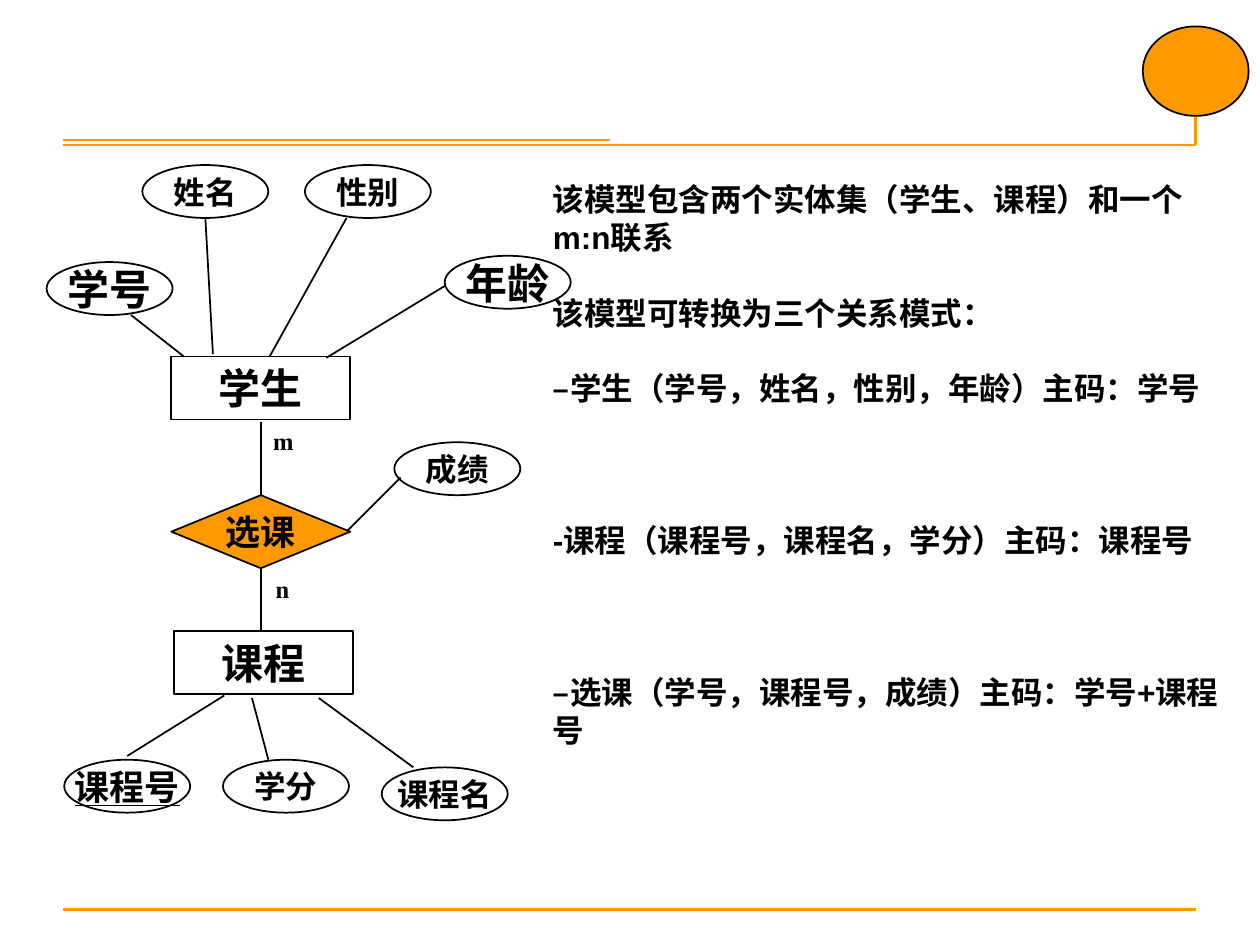
from lxml import etree
from pptx import Presentation
from pptx.dml.color import RGBColor
from pptx.enum.shapes import MSO_CONNECTOR, MSO_SHAPE
from pptx.enum.text import MSO_ANCHOR, PP_ALIGN
from pptx.oxml.ns import qn
from pptx.util import Inches, Pt

STRAIGHT = MSO_CONNECTOR.STRAIGHT
OVAL = MSO_SHAPE.OVAL
RECTANGLE = MSO_SHAPE.RECTANGLE
DECISION = MSO_SHAPE.FLOWCHART_DECISION
TOP, MIDDLE = MSO_ANCHOR.TOP, MSO_ANCHOR.MIDDLE
CENTER, LEFT = PP_ALIGN.CENTER, PP_ALIGN.LEFT

COLORS = {"orange": "FF9900", "black": "000000"}
SERIF, SANS = "Times New Roman", "Arial"

ATTRIBUTES = [
    ("学号", 0, 0.77, 24, False),
    ("姓名", 0.76, 0, 18, False),
    ("性别", 2.05, 0, 18, False),
    ("年龄", 3.16, 0.72, 24, False),
    ("成绩", 2.76, 2.2, 18, False),
    ("课程号", 0.14, 4.72, 20, True),
    ("学分", 1.4, 4.72, 18, False),
    ("课程名", 2.66, 4.78, 18, False),
]
NODES = [
    ("学生", RECTANGLE, 0.99, 1.52, 0.5, 24, None, TOP),
    ("选课", DECISION, 0.99, 2.62, 0.58, 20, "orange", MIDDLE),
    ("课程", RECTANGLE, 1.01, 3.7, 0.5, 24, None, TOP),
]
LINKS = [
    (0.67, 1.19, 1.09, 1.52),
    (1.26, 0.42, 1.32, 1.5),
    (2.38, 0.42, 1.77, 1.52),
    (3.16, 0.96, 2.22, 1.53),
    (1.7, 2.04, 1.7, 2.62),
    (1.7, 3.2, 1.7, 3.7),
    (2.81, 2.48, 2.38, 2.91),
    (1.41, 4.21, 0.64, 4.69),
    (1.63, 4.23, 1.76, 4.72),
    (2.16, 4.23, 2.91, 4.78),
]
CARDINALITIES = [("m", 1.7, 2.02), ("n", 1.72, 3.2)]
LINE_PITCH = 21.7
STATEMENTS = [
    ("该模型包含两个实体集（学生、课程）和一个m:n联系", 0),
    ("该模型可转换为三个关系模式：", 1),
    ("–学生（学号，姓名，性别，年龄）主码：学号", 1),
    ("-课程（课程号，课程名，学分）主码：课程号", 3),
    ("–选课（学号，课程号，成绩）主码：学号+课程号", 3),
]


def color(name):
    return RGBColor.from_string(COLORS[name])


def write(para, text, **values):
    span = para.add_run()
    span.text = text
    for name, value in values.items():
        setattr(span.font, name, value)
    span.font.color.rgb = color("black")


def add_line(page, start_x, start_y, end_x, end_y, ink="black", width=1):
    line = page.shapes.add_connector(
        STRAIGHT, Inches(start_x), Inches(start_y), Inches(end_x), Inches(end_y))
    line.line.color.rgb = color(ink)
    line.line.width = Pt(width)
    etree.SubElement(line.element.spPr, qn("a:effectLst"))


def add_node(page, kind, left, top, width, height, fill=None, anchor=MIDDLE):
    node = page.shapes.add_shape(
        kind, Inches(left), Inches(top), Inches(width), Inches(height))
    node.shadow.inherit = False
    if fill:
        node.fill.solid()
        node.fill.fore_color.rgb = color(fill)
    else:
        node.fill.background()
    node.line.color.rgb = color("black")
    node.line.width = Pt(1)
    node.text_frame.word_wrap = anchor == TOP
    node.text_frame.vertical_anchor = anchor
    para = node.text_frame.paragraphs[0]
    para.alignment = CENTER
    return para


def add_text(page, left, top, width, height):
    box = page.shapes.add_textbox(
        Inches(left), Inches(top), Inches(width), Inches(height))
    box.text_frame.word_wrap = True
    return box.text_frame


def add_frame(page, left, top, width, height):
    right, bottom = left + width, top + height
    rule = top + 0.94
    for ends in [
        (left, bottom, right, bottom),
        (left, rule, right, rule),
        (right, top + 0.07, right, rule),
        (left, rule - 0.04, left + 4.34, rule - 0.04),
    ]:
        add_line(page, *ends, ink="orange", width=1.5)
    add_node(page, OVAL, right - 0.42, top, 0.84, 0.71, "orange")


def add_diagram(page, left, top):
    for start_x, start_y, end_x, end_y in LINKS:
        add_line(page, left + start_x, top + start_y, left + end_x, top + end_y)
    for text, x, y, size, underline in ATTRIBUTES:
        para = add_node(page, OVAL, left + x, top + y, 1, 0.42)
        write(para, text, size=Pt(size), name=SERIF, bold=True, underline=underline)
    for text, kind, x, y, height, size, fill, anchor in NODES:
        para = add_node(page, kind, left + x, top + y, 1.42, height, fill, anchor)
        write(para, text, size=Pt(size), name=SERIF, bold=True)
    for text, x, y in CARDINALITIES:
        frame = add_text(page, left + x, top + y, 0.33, 0.34)
        write(frame.paragraphs[0], text, size=Pt(14), name=SERIF, bold=True)


def add_statements(page, left, top, width, height):
    frame = add_text(page, left, top, width, height)
    for index, (text, gap) in enumerate(STATEMENTS):
        para = frame.add_paragraph() if index else frame.paragraphs[0]
        para.alignment = LEFT
        para.space_before = Pt(gap * LINE_PITCH)
        write(para, text, size=Pt(18), name=SANS, bold=True)


def main():
    deck = Presentation()
    deck.slide_width, deck.slide_height = Inches(10), Inches(7.5)
    page = deck.slides.add_slide(deck.slide_layouts[6])
    add_frame(page, 0.5, 0.21, 8.99, 7.01)
    add_diagram(page, 0.37, 1.31)
    add_statements(page, 4.29, 1.38, 5.51, 5.2)
    deck.save("out.pptx")


if __name__ == "__main__":
    main()
